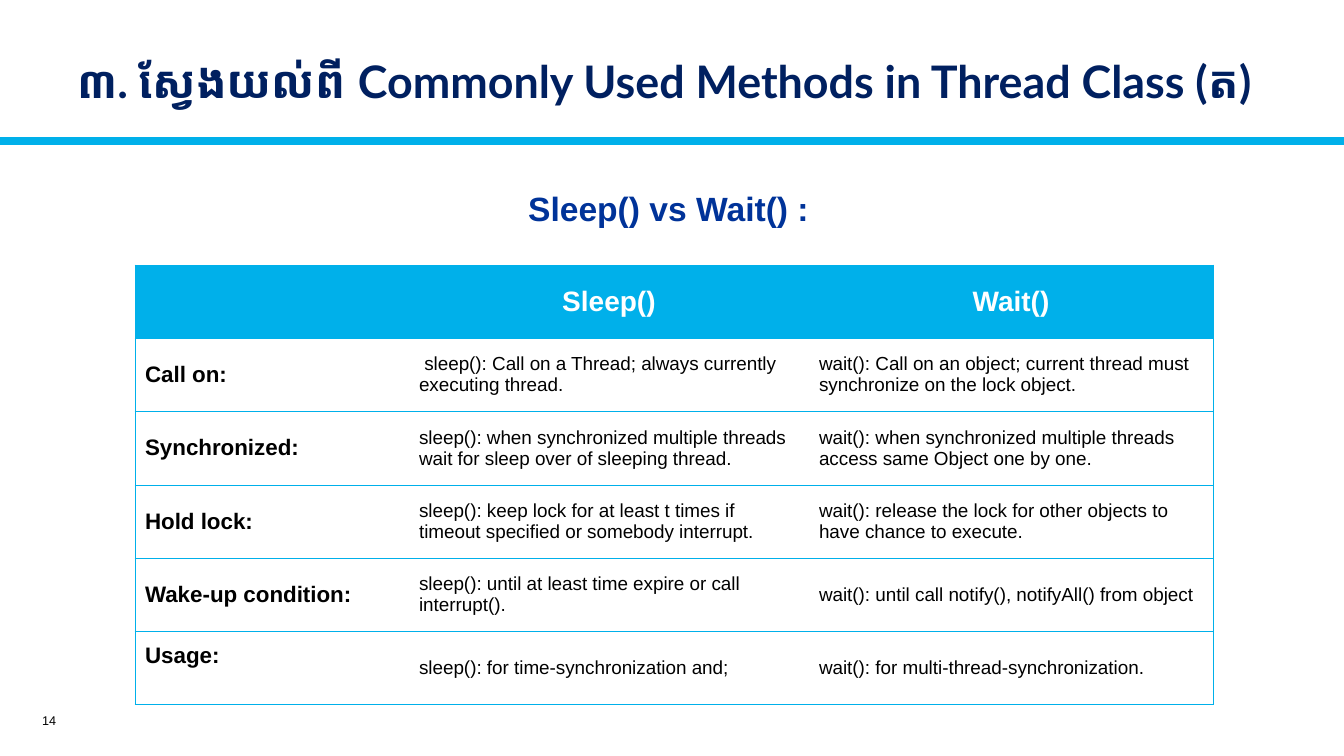
import pptx
import pptx.util
import pptx.dml.color
import pptx.enum.text
import pptx.enum.shapes
import pptx.oxml

# Content
TITLE = "៣. សែ្វងយល់ពី Commonly Used Methods in Thread Class (ត)"
SUBTITLE = "Sleep() vs Wait() :"
PAGE = "14"
ROWS = [
    ("", "Sleep()", "Wait()"),
    ("Call on:",
     "\u00a0sleep(): Call on a Thread; always currently executing thread.",
     "wait(): Call on an object; current thread must synchronize on the lock object."),
    ("Synchronized:",
     "sleep(): when synchronized multiple threads wait for sleep over of sleeping thread.",
     "wait(): when synchronized multiple threads access same Object one by one."),
    ("Hold lock:",
     "sleep(): keep lock for at least t times if timeout specified or somebody interrupt.",
     "wait(): release the lock for other objects to have chance to execute."),
    ("Wake-up condition:",
     "sleep(): until at least time expire or call interrupt().",
     "wait(): until call notify(), notifyAll() from object"),
    ("Usage:",
     "sleep(): for time-synchronization and;",
     "wait(): for multi-thread-synchronization."),
]

# Geometry in px
SLIDE_SIZE = (1344, 756)
RULE_Y = 141
TITLE_BOX = (67, 14, 1212, 139)
SUBTITLE_BOX = (163, 183, 1011, 50)
PAGE_BOX = (9, 705, 57, 30)
TABLE_LEFT, TABLE_TOP, TABLE_HEIGHT = 135, 265, 440
COLUMN_WIDTHS = (274, 400, 404)
USAGE_INSET = 12

COLORS = {"cyan": "00B0EA", "navy": "002060", "blue": "003399",
          "black": "000000", "white": "FFFFFF"}
ALIGN = pptx.enum.text.PP_ALIGN
ANCHOR = pptx.enum.text.MSO_ANCHOR


def px(length):
    return pptx.util.Emu(round(length * 914400 / 100.8))


def rgb(name):
    return pptx.dml.color.RGBColor.from_string(COLORS[name])


def write(frame, text, size, color, bold=False, align=ALIGN.LEFT, font="Arial"):
    frame.text = text
    frame.word_wrap = True
    paragraph = frame.paragraphs[0]
    paragraph.alignment = align
    for run in paragraph.runs:
        run.font.name = font
        run.font.size = pptx.util.Pt(size)
        run.font.bold = bold
        run.font.color.rgb = rgb(color)


def set_borders(cell, sides):
    properties = cell._tc.get_or_add_tcPr()
    namespace = 'xmlns:a="http://schemas.openxmlformats.org/drawingml/2006/main"'
    for side in "LRTB":
        paint = "<a:noFill/>"
        if side in sides:
            paint = f'<a:solidFill><a:srgbClr val="{COLORS["cyan"]}"/></a:solidFill>'
        properties.append(pptx.oxml.parse_xml(
            f'<a:ln{side} {namespace} w="6350">{paint}</a:ln{side}>'))


def add_rule(slide):
    rule = slide.shapes.add_connector(
        pptx.enum.shapes.MSO_CONNECTOR.STRAIGHT,
        px(0), px(RULE_Y), px(SLIDE_SIZE[0]), px(RULE_Y))
    rule.line.color.rgb = rgb("cyan")
    rule.line.width = pptx.util.Pt(6)
    rule._element.spPr.append(pptx.oxml.parse_xml(
        '<a:effectLst xmlns:a="http://schemas.openxmlformats.org/drawingml/2006/main"/>'))


def add_title(slide):
    title = slide.shapes.title
    title.left, title.top, title.width, title.height = map(px, TITLE_BOX)
    frame = title.text_frame
    write(frame, TITLE, 32, "navy", bold=True, font="Lato")
    frame.auto_size = pptx.enum.text.MSO_AUTO_SIZE.NONE
    frame.vertical_anchor = ANCHOR.MIDDLE
    frame.paragraphs[0].line_spacing = 0.9


def add_comparison(slide):
    last_row, last_column = len(ROWS) - 1, len(COLUMN_WIDTHS) - 1
    table = slide.shapes.add_table(
        len(ROWS), len(COLUMN_WIDTHS), px(TABLE_LEFT), px(TABLE_TOP),
        px(sum(COLUMN_WIDTHS)), px(TABLE_HEIGHT)).table
    table.horz_banding = False
    for column, width in zip(table.columns, COLUMN_WIDTHS):
        column.width = px(width)
    for r, texts in enumerate(ROWS):
        table.rows[r].height = px(TABLE_HEIGHT / len(ROWS))
        for c, text in enumerate(texts):
            cell = table.cell(r, c)
            cell.vertical_anchor = ANCHOR.MIDDLE
            set_borders(cell, "TB" + "L" * (c == 0) + "R" * (c == last_column))
            if r == 0:
                cell.fill.solid()
                cell.fill.fore_color.rgb = rgb("cyan")
                write(cell.text_frame, text, 20, "white", bold=True, align=ALIGN.CENTER)
                continue
            cell.fill.background()
            is_label = c == 0
            write(cell.text_frame, text, 16 if is_label else 13.5, "black", bold=is_label)
    # The last label sits near the top of its row
    usage = table.cell(last_row, 0)
    usage.vertical_anchor = ANCHOR.TOP
    usage.margin_top = px(USAGE_INSET)


def main():
    deck = pptx.Presentation()
    deck.slide_width, deck.slide_height = map(px, SLIDE_SIZE)
    slide = deck.slides.add_slide(deck.slide_layouts[5])

    # Header
    add_rule(slide)
    add_title(slide)

    # Page number
    page = slide.shapes.add_textbox(*map(px, PAGE_BOX)).text_frame
    write(page, PAGE, 9, "black", align=ALIGN.RIGHT)
    page.vertical_anchor = ANCHOR.MIDDLE

    # Comparison
    add_comparison(slide)
    subtitle = slide.shapes.add_textbox(*map(px, SUBTITLE_BOX)).text_frame
    write(subtitle, SUBTITLE, 24, "blue", bold=True, align=ALIGN.CENTER)

    deck.save("out.pptx")


if __name__ == "__main__":
    main()
